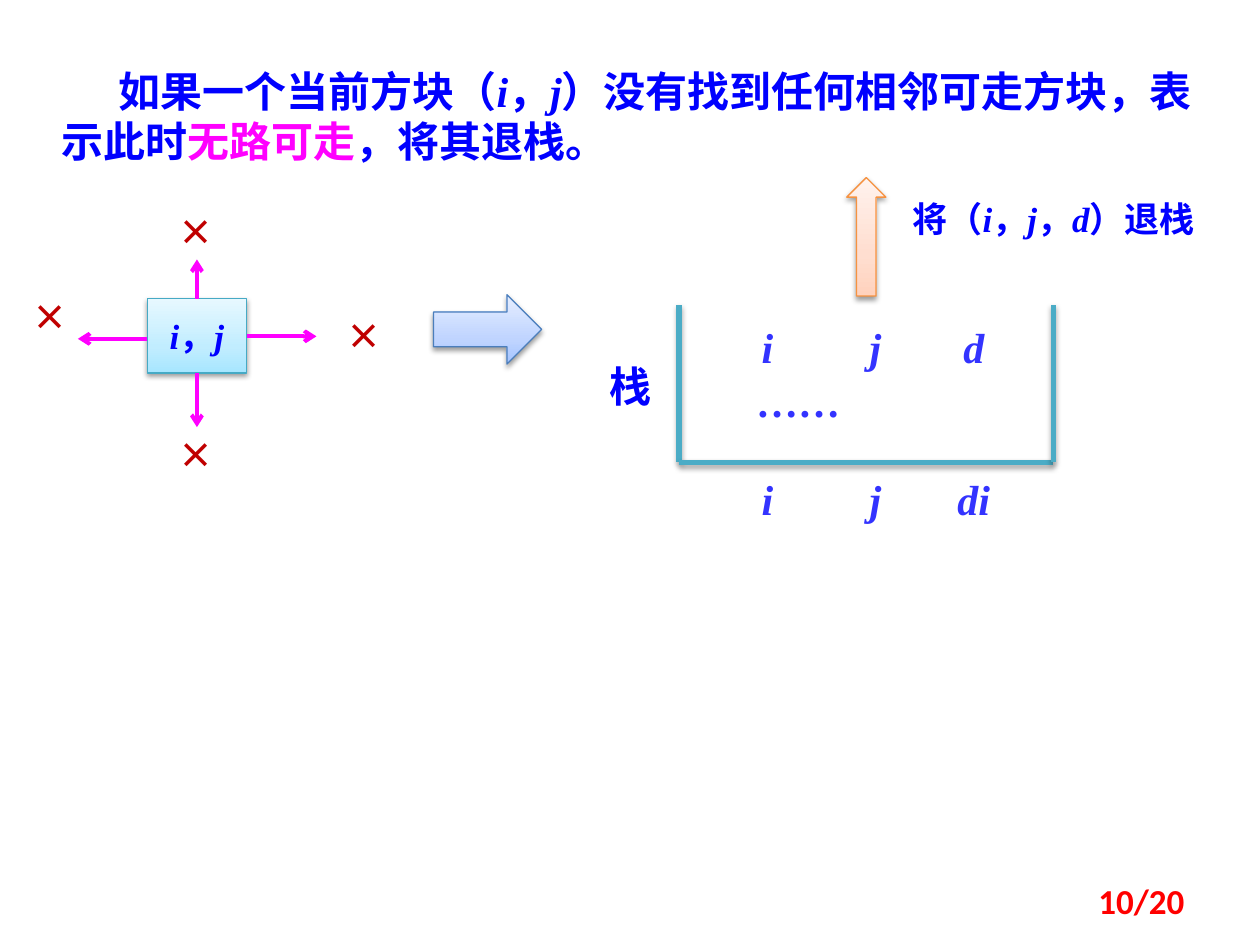
from copy import deepcopy
from dataclasses import dataclass

from lxml import etree
from pptx import Presentation
from pptx.dml.color import RGBColor
from pptx.enum.shapes import MSO_CONNECTOR, MSO_SHAPE
from pptx.enum.text import MSO_ANCHOR, PP_ALIGN
from pptx.oxml.ns import qn
from pptx.util import Cm, Pt

RECT, UP_ARROW, RIGHT_ARROW = MSO_SHAPE.RECTANGLE, MSO_SHAPE.UP_ARROW, MSO_SHAPE.RIGHT_ARROW
STRAIGHT = MSO_CONNECTOR.STRAIGHT
LEFT, CENTER, RIGHT = PP_ALIGN.LEFT, PP_ALIGN.CENTER, PP_ALIGN.RIGHT
TOP, MIDDLE = MSO_ANCHOR.TOP, MSO_ANCHOR.MIDDLE


@dataclass(frozen=True)
class Theme:
    serif: str = "Times New Roman"
    cjk: str = "Noto Sans CJK SC"
    sans: str = "Calibri"
    large: int = 24
    medium: int = 20
    blue: str = "0000FF"
    entry: str = "3333FF"
    magenta: str = "FF00FF"
    cross: str = "C00000"
    page: str = "FF0000"
    stack: str = "4BACC6"
    block_line: str = "46AAC5"
    up_line: str = "F69240"
    right_line: str = "4B7EBC"
    block_fill: tuple = ("A7E6FF", "C1EDFF", "E7F8FF")
    up_fill: tuple = ("FFD2BD", "FFDED0", "FFF2ED")
    right_fill: tuple = ("A4C4FF", "BFD4FF", "E6EEFF")


class Deck:
    def __init__(self, s, theme):
        self.s = s
        self.theme = theme

    def fill_text(self, tf, parts, size, color, font=None, align=CENTER, anchor=TOP, indent=0):
        """Fill a frame with parts: text, or (text, italic, colour) tuples."""
        tf.vertical_anchor = anchor
        p = tf.paragraphs[0]
        p.alignment = align
        if indent:
            p._p.get_or_add_pPr().set("indent", str(Cm(indent)))
        runs = [(part, False, color) if isinstance(part, str) else part for part in parts]
        f = p.font
        f.name, f.size, f.bold = font or self.theme.serif, Pt(size), True
        f.color.rgb = RGBColor.from_string(color)
        f.italic = all(italic for _, italic, _ in runs)
        etree.SubElement(f._element, qn("a:ea")).set("typeface", self.theme.cjk)
        for text, italic, run_color in runs:
            r = p.add_run()
            r.text = text
            if italic != f.italic:
                r.font.italic = italic
            if run_color != color:
                r.font.color.rgb = RGBColor.from_string(run_color)

    def text(self, box, parts, size, color, **options):
        tf = self.s.shapes.add_textbox(*map(Cm, box)).text_frame
        tf.word_wrap = True
        self.fill_text(tf, parts, size, color, **options)

    def effects(self, sp, opacity=None):
        """Set a soft shadow below the shape, or none without an opacity."""
        effects = etree.SubElement(sp._element.spPr, qn("a:effectLst"))
        if opacity:
            shadow = etree.SubElement(
                effects, qn("a:outerShdw"), blurRad=str(Pt(3.1)), dist=str(Pt(1.7)),
                dir="5400000", rotWithShape="0")
            black = etree.SubElement(shadow, qn("a:srgbClr"), val="000000")
            etree.SubElement(black, qn("a:alpha"), val=str(opacity * 1000))

    def shape(self, kind, box, colors, line):
        sp = self.s.shapes.add_shape(kind, *map(Cm, box))
        sp.fill.gradient()
        sp.fill.gradient_angle = 90
        stops = next(sp._element.spPr.iter(qn("a:gsLst")))
        stops.append(deepcopy(stops[0]))
        for stop, color, position in zip(sp.fill.gradient_stops, colors, (0, 0.35, 1)):
            stop.color.rgb = RGBColor.from_string(color)
            stop.position = position
        sp.line.color.rgb = RGBColor.from_string(line)
        sp.line.width = Pt(0.75)
        self.effects(sp, 38)
        return sp

    def line(self, start, end, color, width, arrow=False, shadow=None):
        sp = self.s.shapes.add_connector(STRAIGHT, *map(Cm, (*start, *end)))
        sp.line.color.rgb = RGBColor.from_string(color)
        sp.line.width = Pt(width)
        if arrow:
            ln = sp._element.spPr.find(qn("a:ln"))
            etree.SubElement(ln, qn("a:tailEnd"), type="arrow")
        self.effects(sp, shadow)


def draw_block(deck):
    """Draw the current block with its four closed directions."""
    t = deck.theme
    x, y, w, h = 2.97, 6.02, 2, 1.5
    sp = deck.shape(RECT, (x, y, w, h), t.block_fill, t.block_line)
    sp.text_frame.word_wrap = False
    deck.fill_text(sp.text_frame, [("i", True, t.blue), "，", ("j", True, t.blue)],
                   t.medium, t.blue, anchor=MIDDLE)
    mid = x + w / 2
    for start, end in [
        ((x + w, 6.78), (6.38, 6.78)),
        ((mid, y + h), (mid, 8.61)),
        ((x, 6.83), (1.57, 6.83)),
        ((mid, y), (mid, 5.23)),
    ]:
        deck.line(start, end, t.magenta, 2.25, arrow=True)
    for left, top in [(6.53, 6.22), (3.15, 4.11), (3.15, 8.61), (0.2, 5.84)]:
        deck.text((left, top, 1.6, 1.11), ["×"], t.medium, t.cross, font=t.cjk)


def draw_stack(deck):
    """Draw the open-topped stack, its entries and the pop arrow."""
    t = deck.theme
    for top, row in [(9.42, ("i", "j", "di")), (6.35, ("i", "j", "d"))]:
        for left, name in zip((14.48, 16.66, 18.64), row):
            deck.text((left, top, 1.98, 1.27), [(name, True, t.entry)], t.large, t.entry)
    left, right, top, bottom = 13.69, 21.23, 6.15, 9.32
    corners = [(left, top), (left, bottom), (right, bottom), (right, top)]
    for start, end in zip(corners, corners[1:]):
        deck.line(start, end, t.stack, 3, shadow=35)
    deck.text((11.51, 7.14, 2.39, 1.27), ["栈"], t.large, t.blue, font=t.cjk)
    deck.text((14.3, 7.44, 3.58, 1.27), ["……"], t.large, t.entry)
    i, j, d = ((name, True, t.blue) for name in "ijd")
    deck.text((17.86, 3.86, 6.76, 1.12), ["将（", i, "，", j, "，", d, "）退栈"],
              t.medium, t.blue)
    deck.shape(UP_ARROW, (17.07, 3.58, 0.79, 2.39), t.up_fill, t.up_line)


def main():
    prs = Presentation()
    prs.slide_width, prs.slide_height = Cm(25.4), Cm(19.05)
    t = Theme()
    deck = Deck(prs.slides.add_slide(prs.slide_layouts[6]), t)
    deck.text(
        (0.99, 1.19, 24, 2.31),
        ["如果一个当前方块（", ("i", True, t.blue), "，", ("j", True, t.blue),
         "）没有找到任何相邻可走方块，表示此时", ("无路可走", False, t.magenta),
         "，将其退栈。"],
        t.large, t.blue, align=LEFT, indent=1.15)
    draw_block(deck)
    deck.shape(RIGHT_ARROW, (8.74, 5.94, 2.18, 1.4), t.right_fill, t.right_line)
    draw_stack(deck)
    deck.text((18.21, 17.65, 5.92, 1.02), ["10/20"], t.medium, t.page,
              font=t.sans, align=RIGHT, anchor=MIDDLE)
    prs.save("out.pptx")


if __name__ == "__main__":
    main()
